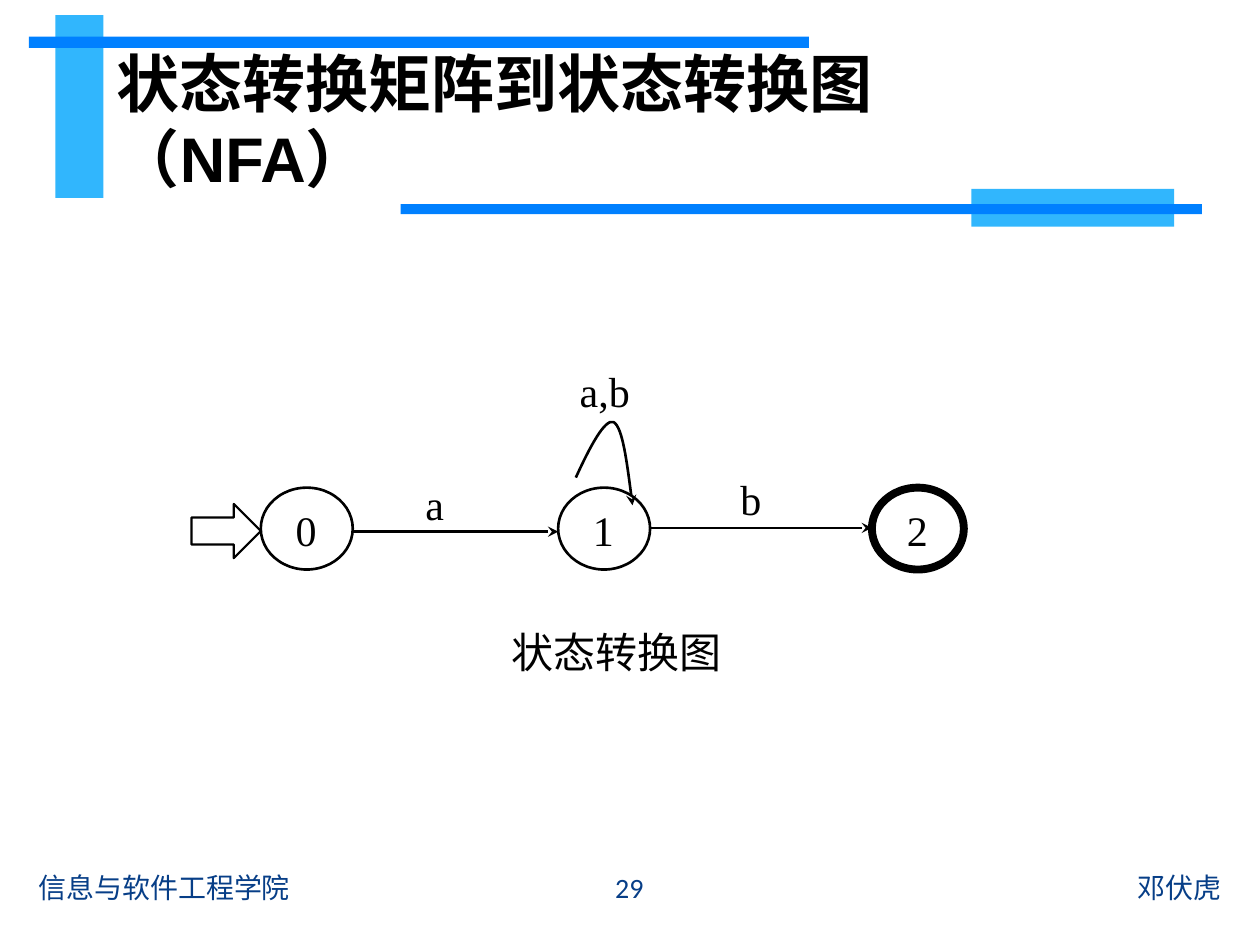
from dataclasses import dataclass

from lxml.etree import SubElement
from pptx import Presentation
from pptx.dml.color import RGBColor
from pptx.enum.shapes import MSO_CONNECTOR, MSO_SHAPE as Preset
from pptx.enum.text import MSO_ANCHOR as Anchor, PP_ALIGN as Align
from pptx.oxml.ns import qn
from pptx.util import Inches, Pt


@dataclass(frozen=True)
class Theme:
    black: str = "000000"
    white: str = "FFFFFF"
    sky: str = "31B6FD"
    blue: str = "0080FF"
    navy: str = "073E87"
    title_size: int = 36
    body_size: int = 24
    footer_size: int = 16
    title_font: str = "Arial"
    label_font: str = "Times New Roman"
    footer_font: str = "Calibri"
    chinese_font: str = "Noto Sans CJK SC"
    thin: float = 1.5
    thick: float = 4.5
    arrow_line: float = 1.25


THEME = Theme()


@dataclass(frozen=True)
class Box:
    left: float
    top: float
    width: float
    height: float

    def lengths(self) -> list:
        return [Inches(n) for n in (self.left, self.top, self.width, self.height)]


@dataclass(frozen=True)
class Style:
    font: str
    size: int
    color: str = THEME.black
    bold: bool = False


@dataclass(frozen=True)
class Label:
    text: str
    box: Box
    style: Style
    align: Align = Align.CENTER
    wrap: bool = True


@dataclass(frozen=True)
class Bar:
    box: Box
    color: str


@dataclass(frozen=True)
class State:
    name: str
    left: float
    line_width: float = THEME.thin


@dataclass(frozen=True)
class Transition:
    start: float
    end: float
    y: float


TITLE = Style(THEME.title_font, THEME.title_size, bold=True)
FOOTER = Style(THEME.footer_font, THEME.footer_size, THEME.navy)
SYMBOL = Style(THEME.label_font, THEME.body_size)
CAPTION = Style(THEME.chinese_font, THEME.body_size)

BARS = [
    Bar(Box(0.44, 0.12, 0.38, 1.45), THEME.sky),
    Bar(Box(0.23, 0.29, 6.19, 0.09), THEME.blue),
    Bar(Box(7.71, 1.5, 1.61, 0.3), THEME.sky),
    Bar(Box(3.18, 1.62, 6.36, 0.08), THEME.blue),
]
LABELS = [
    Label("邓伏虎", Box(5.65, 6.84, 4.14, 0.4), FOOTER, Align.RIGHT),
    Label("信息与软件工程学院", Box(0.21, 6.84, 4.14, 0.4), FOOTER, Align.LEFT),
    Label("29", Box(4.36, 6.84, 1.27, 0.4), FOOTER),
    Label("状态转换矩阵到状态转换图（NFA）", Box(0.83, 0.44, 7.72, 1.02), TITLE, Align.LEFT),
    Label("a", Box(3.09, 3.77, 0.72, 0.46), SYMBOL, wrap=False),
    Label("b", Box(5.6, 3.73, 0.72, 0.46), SYMBOL, wrap=False),
    Label("a,b", Box(4.44, 2.87, 0.72, 0.46), SYMBOL, wrap=False),
    Label("状态转换图", Box(3.45, 4.9, 2.88, 0.54), CAPTION, wrap=False),
]
STATES = [State("0", 2.07), State("2", 6.92, THEME.thick), State("1", 4.43)]
STATE_TOP, STATE_WIDTH, STATE_HEIGHT = 3.87, 0.73, 0.65
TRANSITIONS = [Transition(2.81, 4.43, 4.22), Transition(5.16, 6.92, 4.19)]
LOOP = [
    (4.57, 3.79),
    (4.68, 3.55), (4.8, 3.32), (4.87, 3.35),
    (4.94, 3.39), (4.98, 3.7), (5.02, 4.01),
]
START_ARROW = Box(1.52, 4, 0.55, 0.43)


def rgb(color: str) -> RGBColor:
    return RGBColor.from_string(color)


def write(frame, text: str, style: Style, align: Align) -> None:
    frame.text = text
    para = frame.paragraphs[0]
    para.alignment = align
    span = para.runs[0]
    span.font.name = style.font
    span.font.size = Pt(style.size)
    span.font.bold = style.bold
    span.font.color.rgb = rgb(style.color)
    SubElement(span._r.rPr, qn("a:ea"), typeface=THEME.chinese_font)


def outline(shape, width: float) -> None:
    shape.line.color.rgb = rgb(THEME.black)
    shape.line.width = Pt(width)


def add_stealth_end(shape) -> None:
    SubElement(shape.line._get_or_add_ln(), qn("a:tailEnd"), type="stealth")


def add_preset(page, preset: Preset, box: Box):
    shape = page.shapes.add_shape(preset, *box.lengths())
    shape.shadow.inherit = False
    return shape


def draw_bar(page, bar: Bar) -> None:
    shape = add_preset(page, Preset.RECTANGLE, bar.box)
    shape.fill.solid()
    shape.fill.fore_color.rgb = rgb(bar.color)
    shape.line.fill.background()


def draw_label(page, label: Label) -> None:
    frame = page.shapes.add_textbox(*label.box.lengths()).text_frame
    frame.word_wrap = label.wrap
    frame.vertical_anchor = Anchor.MIDDLE
    write(frame, label.text, label.style, label.align)


def draw_state(page, state: State) -> None:
    box = Box(state.left, STATE_TOP, STATE_WIDTH, STATE_HEIGHT)
    shape = add_preset(page, Preset.OVAL, box)
    shape.fill.background()
    outline(shape, state.line_width)
    frame = shape.text_frame
    frame.margin_left, frame.margin_top = Inches(0.17), Inches(0.04)
    frame.margin_right = frame.margin_bottom = 0
    frame.vertical_anchor = Anchor.TOP
    write(frame, state.name, SYMBOL, Align.JUSTIFY)


def draw_transition(page, move: Transition) -> None:
    y = Inches(move.y)
    line = page.shapes.add_connector(
        MSO_CONNECTOR.STRAIGHT, Inches(move.start), y, Inches(move.end), y)
    outline(line, THEME.thin)
    add_stealth_end(line)
    SubElement(line._element.spPr, qn("a:effectLst"))


def draw_loop(page, points: list) -> None:
    start, *rest = [(Inches(x), Inches(y)) for x, y in points]
    builder = page.shapes.build_freeform(*start)
    builder.add_line_segments(rest, close=False)
    shape = builder.convert_to_shape()
    shape.shadow.inherit = False
    shape.fill.background()
    outline(shape, THEME.thin)
    add_stealth_end(shape)
    outline_path = next(shape._element.iter(qn("a:path")))
    segments = outline_path.findall(qn("a:lnTo"))
    for first in range(0, len(segments), 3):
        curve = SubElement(outline_path, qn("a:cubicBezTo"))
        for segment in segments[first:first + 3]:
            curve.append(segment[0])
            outline_path.remove(segment)


def draw_start_arrow(page) -> None:
    shape = add_preset(page, Preset.RIGHT_ARROW, START_ARROW)
    shape.fill.solid()
    shape.fill.fore_color.rgb = rgb(THEME.white)
    outline(shape, THEME.arrow_line)


def main() -> None:
    deck = Presentation()
    deck.slide_width, deck.slide_height = Inches(10), Inches(7.5)
    page = deck.slides.add_slide(deck.slide_layouts[6])
    for draw, items in ((draw_bar, BARS), (draw_transition, TRANSITIONS),
                        (draw_state, STATES), (draw_label, LABELS)):
        for item in items:
            draw(page, item)
    draw_loop(page, LOOP)
    draw_start_arrow(page)
    deck.save("out.pptx")


if __name__ == "__main__":
    main()
